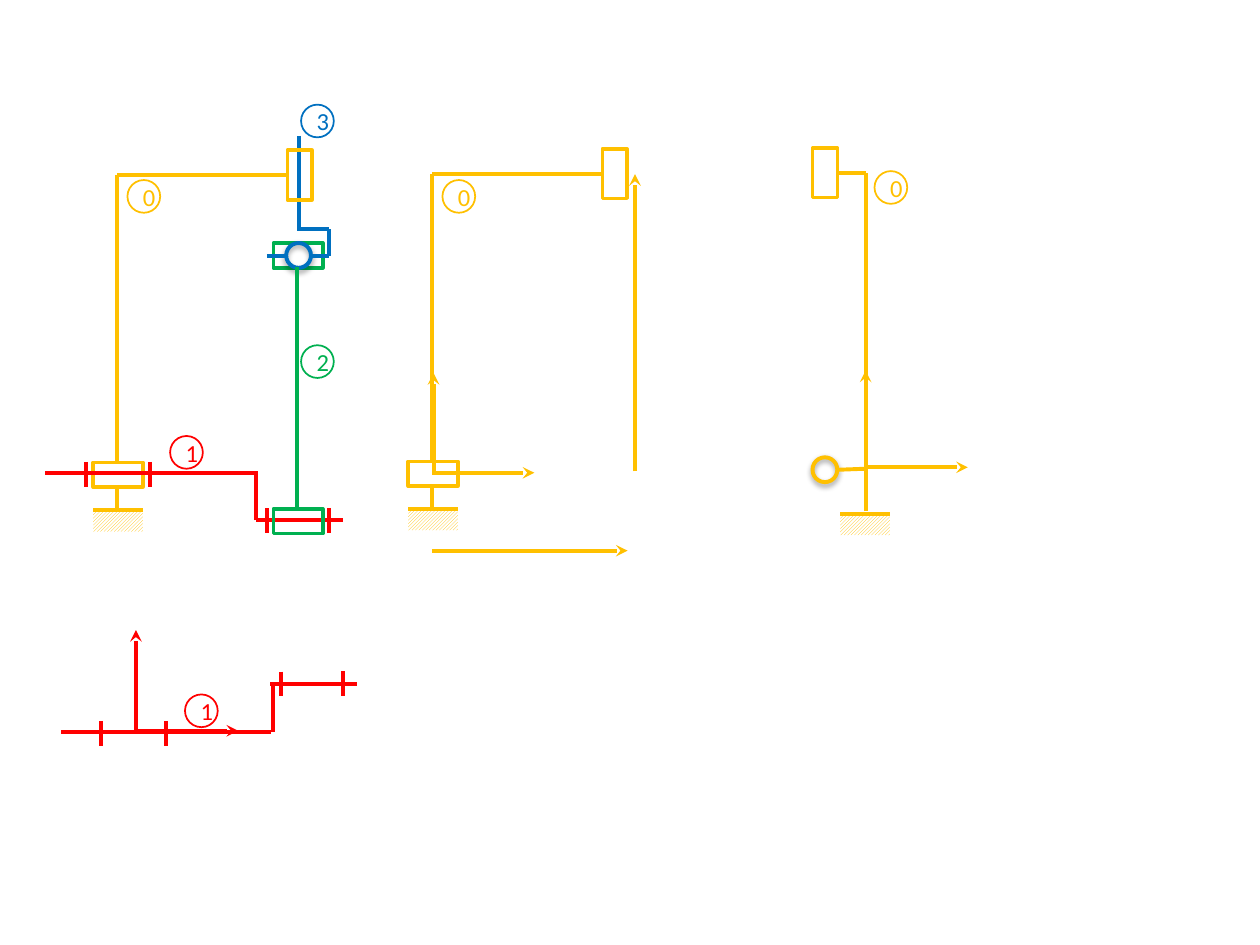
"""Build a slide with kinematic diagrams of a crank mechanism and its separate members."""
from dataclasses import dataclass

from lxml.etree import SubElement
from pptx import Presentation
from pptx.dml.color import RGBColor
from pptx.enum.dml import MSO_PATTERN
from pptx.enum.shapes import MSO_CONNECTOR, MSO_SHAPE
from pptx.enum.text import MSO_ANCHOR, PP_ALIGN
from pptx.oxml.ns import qn
from pptx.util import Cm, Pt


@dataclass(frozen=True)
class Theme:
    frame: RGBColor = RGBColor(0xFF, 0xC0, 0x00)
    crank: RGBColor = RGBColor(0xFF, 0x00, 0x00)
    rod: RGBColor = RGBColor(0x00, 0xB0, 0x50)
    slider: RGBColor = RGBColor(0x00, 0x70, 0xC0)
    paper: RGBColor = RGBColor(0xFF, 0xFF, 0xFF)
    font: str = "Calibri"
    label_size: Pt = Pt(14)
    link_width: Pt = Pt(2.25)
    block_width: Pt = Pt(2)
    label_width: Pt = Pt(1)


theme = Theme()


def add_line(shapes, ends, color, arrow=False):
    line = shapes.add_connector(MSO_CONNECTOR.STRAIGHT, *(Cm(value) for value in ends))
    line.line.color.rgb = color
    line.line.width = theme.link_width
    properties = line._element.spPr
    if arrow:
        SubElement(properties.find(qn("a:ln")), qn("a:tailEnd"), type="stealth")
    SubElement(properties, qn("a:effectLst"))


def add_outline(shapes, kind, place, color, width):
    outline = shapes.add_shape(kind, *(Cm(value) for value in place))
    outline.shadow.inherit = False
    outline.fill.background()
    outline.line.color.rgb = color
    outline.line.width = width
    return outline


deck = Presentation()
deck.slide_width, deck.slide_height = Cm(25.4), Cm(19.05)
page = deck.slides.add_slide(deck.slide_layouts[6])
shapes = page.shapes

add_line(shapes, (6.91, 10.49, 5.16, 10.49), theme.crank)
add_line(shapes, (6.02, 2.74, 6.02, 4.6), theme.slider)

blocks = [
    (1.88, 9.32, 0, theme.frame),
    (5.51, 10.26, 0, theme.rod),
    (5.51, 4.9, 0, theme.rod),
    (5.54, 3.28, 90, theme.frame),
    (8.23, 9.3, 0, theme.frame),
    (11.89, 3.25, 90, theme.frame),
    (16.13, 3.23, 90, theme.frame),
]
for left, top, angle, color in blocks:
    block = add_outline(shapes, MSO_SHAPE.RECTANGLE, (left, top, 1, 0.5), color, theme.block_width)
    block.rotation = angle

links = {
    theme.rod: [(5.99, 10.26, 5.99, 5.38)],
    theme.crank: [
        (5.16, 10.49, 5.16, 9.5),
        (5.16, 9.53, 0.91, 9.53),
        (5.51, 14.76, 5.51, 13.79),
        (5.46, 14.76, 1.22, 14.76),
        (7.19, 13.79, 5.44, 13.79),
    ],
    theme.slider: [
        (6.25, 5.16, 6.63, 5.16),
        (6.63, 4.62, 6.63, 5.16),
        (5.99, 4.62, 6.63, 4.62),
        (5.38, 5.16, 5.77, 5.16),
    ],
    theme.frame: [
        (2.36, 9.32, 2.36, 3.53),
        (2.36, 3.53, 5.79, 3.53),
        (8.71, 9.3, 8.71, 3.51),
        (8.71, 3.51, 12.14, 3.51),
        (16.89, 3.48, 17.45, 3.48),
        (17.45, 10.31, 17.45, 3.48),
        (16.89, 9.47, 17.45, 9.45),
    ],
}

for left, top, color in [(5.77, 4.9, theme.slider), (16.38, 9.22, theme.frame)]:
    pin = add_outline(shapes, MSO_SHAPE.OVAL, (left, top, 0.5, 0.5), color, theme.link_width)
    effects = pin._element.spPr.find(qn("a:effectLst"))
    shadow = SubElement(effects, qn("a:outerShdw"), blurRad="40000", dist="20000", dir="5400000", rotWithShape="0")
    shade = SubElement(shadow, qn("a:srgbClr"), val="000000")
    SubElement(shade, qn("a:alpha"), val="38000")

for color, lines in links.items():
    for ends in lines:
        add_line(shapes, ends, color)

collars = [
    (1.73, 9.56), (3.02, 9.56), (5.38, 10.5), (6.63, 10.49),
    (2.03, 14.78), (3.35, 14.78), (5.66, 13.79), (6.91, 13.78),
]
for x, y in collars:
    add_line(shapes, (x, y - 0.25, x, y + 0.25), theme.crank)

for left, top, has_stem in [(1.88, 10.29, True), (8.23, 10.26, True), (16.94, 10.36, False)]:
    ground = shapes.add_group_shape().shapes
    hatch = add_outline(ground, MSO_SHAPE.RECTANGLE, (left, top + 0.03, 1, 0.4), theme.frame, theme.label_width)
    hatch.line.fill.background()
    hatch.fill.patterned()
    hatch.fill.pattern = MSO_PATTERN.LIGHT_UPWARD_DIAGONAL
    hatch.fill.fore_color.rgb = theme.frame
    hatch.fill.back_color.rgb = theme.paper
    add_line(ground, (left, top, left + 1, top), theme.frame)
    if has_stem:
        add_line(ground, (left + 0.48, top - 0.46, left + 0.48, top), theme.frame)

labels = [
    (3.43, 8.79, "1", theme.crank),
    (6.07, 2.11, "3", theme.slider),
    (2.57, 3.63, "0", theme.frame),
    (6.07, 6.96, "2", theme.rod),
    (8.92, 3.63, "0", theme.frame),
    (17.63, 3.45, "0", theme.frame),
    (3.73, 14, "1", theme.crank),
]
for left, top, number, color in labels:
    label = add_outline(shapes, MSO_SHAPE.OVAL, (left, top, 0.66, 0.66), color, theme.label_width)
    label.fill.solid()
    label.fill.fore_color.rgb = theme.paper
    label.text_frame.vertical_anchor = MSO_ANCHOR.MIDDLE
    para = label.text_frame.paragraphs[0]
    para.alignment = PP_ALIGN.CENTER
    span = para.add_run()
    span.text = number
    span.font.name = theme.font
    span.font.size = theme.label_size
    span.font.color.rgb = color

arrows = [
    (8.71, 9.53, 10.77, 9.53, theme.frame),
    (8.74, 9.55, 8.74, 7.52, theme.frame),
    (17.45, 9.5, 17.45, 7.47, theme.frame),
    (17.48, 9.42, 19.51, 9.42, theme.frame),
    (12.8, 9.5, 12.8, 3.51, theme.frame),
    (8.71, 11.1, 12.65, 11.1, theme.frame),
    (2.74, 14.73, 4.8, 14.73, theme.crank),
    (2.74, 14.73, 2.74, 12.7, theme.crank),
]
for *ends, color in arrows:
    add_line(shapes, ends, color, arrow=True)

deck.save("out.pptx")
